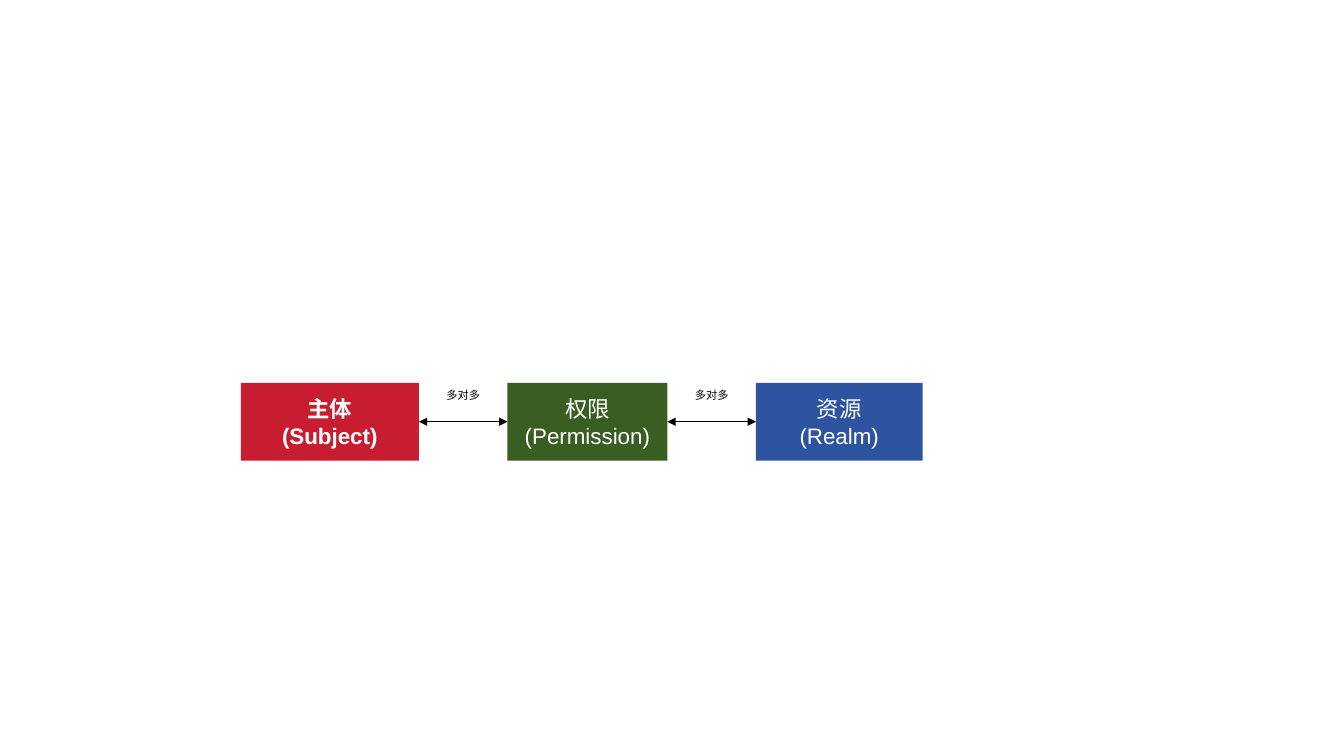
from lxml.etree import SubElement
from pptx import Presentation
from pptx.dml.color import RGBColor
from pptx.enum.shapes import MSO_CONNECTOR, MSO_SHAPE
from pptx.enum.text import MSO_ANCHOR, PP_ALIGN
from pptx.oxml.ns import qn
from pptx.util import Pt

RED = RGBColor(0xC8, 0x1D, 0x31)
GREEN = RGBColor(0x3A, 0x5E, 0x21)
BLUE = RGBColor(0x2E, 0x54, 0xA1)
WHITE = RGBColor(0xFF, 0xFF, 0xFF)
BLACK = RGBColor(0, 0, 0)

LEFT, TOP, HEIGHT, GAP = 172, 273.5, 55.5, 63.3
ROLES = [
    ("主体\n(Subject)", 127.2, RED, True),
    ("权限\n(Permission)", 114.2, GREEN, False),
    ("资源\n(Realm)", 119, BLUE, False),
]


def set_text(shape, text, size, color, bold=False):
    frame = shape.text_frame
    frame.word_wrap = True
    frame.vertical_anchor = MSO_ANCHOR.MIDDLE
    frame.text = text
    for para in frame.paragraphs:
        para.alignment = PP_ALIGN.CENTER
        for run in para.runs:
            font = run.font
            font.name = "Arial"
            font.size = Pt(size)
            font.bold = bold
            font.color.rgb = color


def add_box(slide, left, width, text, fill, bold):
    box = slide.shapes.add_shape(
        MSO_SHAPE.RECTANGLE, Pt(left), Pt(TOP), Pt(width), Pt(HEIGHT))
    box.shadow.inherit = False
    box.fill.solid()
    box.fill.fore_color.rgb = fill
    box.line.fill.background()
    set_text(box, text, 16, WHITE, bold)


def add_arrow(slide, left):
    """Draw a two-headed arrow across the gap that starts at left."""
    mid = Pt(TOP + HEIGHT / 2)
    arrow = slide.shapes.add_connector(
        MSO_CONNECTOR.STRAIGHT, Pt(left), mid, Pt(left + GAP), mid)
    arrow.line.color.rgb = BLACK
    arrow.line.width = Pt(0.75)
    line = arrow.line._get_or_add_ln()
    for end in ("a:headEnd", "a:tailEnd"):
        SubElement(line, qn(end), type="triangle")
    SubElement(arrow._element.spPr, qn("a:effectLst"))


def add_label(slide, left, text):
    """Centre a label over the gap that starts at left."""
    width = 46
    label = slide.shapes.add_textbox(
        Pt(left + (GAP - width) / 2), Pt(270), Pt(width), Pt(25))
    set_text(label, text, 8, BLACK)


def main():
    deck = Presentation()
    deck.slide_width, deck.slide_height = Pt(960), Pt(540)
    slide = deck.slides.add_slide(deck.slide_layouts[6])
    left = LEFT
    for i, (text, width, fill, bold) in enumerate(ROLES):
        if i:
            add_arrow(slide, left)
            add_label(slide, left, "多对多")
            left += GAP
        add_box(slide, left, width, text, fill, bold)
        left += width
    deck.save("out.pptx")


if __name__ == "__main__":
    main()
